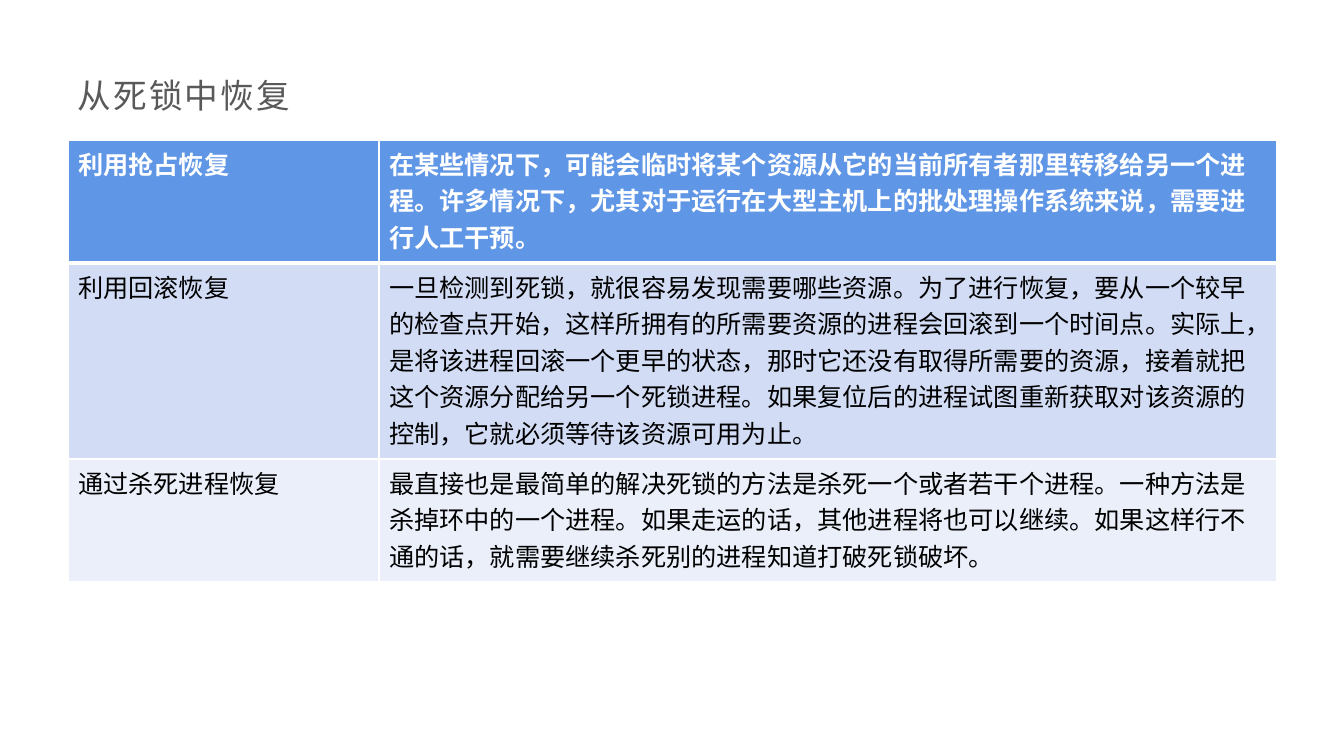
import pptx
import pptx.dml.color
import pptx.oxml
import pptx.oxml.ns
import pptx.util

PX = 914400 / 100.8
FONT = "Arial"
COLORS = {
    "title": "595959",
    "head": "6096E6",
    "head_text": "FFFFFF",
    "band_dark": "D2DDF5",
    "band_light": "EAEFFA",
    "text": "000000",
    "border": "FFFFFF",
}
TITLE = "从死锁中恢复"
METHODS = [
    ("利用抢占恢复",
     "在某些情况下，可能会临时将某个资源从它的当前所有者那里转移给另一个进程。"
     "许多情况下，尤其对于运行在大型主机上的批处理操作系统来说，需要进行人工干预。"),
    ("利用回滚恢复",
     "一旦检测到死锁，就很容易发现需要哪些资源。为了进行恢复，要从一个较早的检查点开始，"
     "这样所拥有的所需要资源的进程会回滚到一个时间点。实际上，是将该进程回滚一个更早的状态，"
     "那时它还没有取得所需要的资源，接着就把这个资源分配给另一个死锁进程。"
     "如果复位后的进程试图重新获取对该资源的控制，它就必须等待该资源可用为止。"),
    ("通过杀死进程恢复",
     "最直接也是最简单的解决死锁的方法是杀死一个或者若干个进程。"
     "一种方法是杀掉环中的一个进程。如果走运的话，其他进程将也可以继续。"
     "如果这样行不通的话，就需要继续杀死别的进程知道打破死锁破坏。"),
]


def px(n):
    """Turn a length in px into EMU."""
    return pptx.util.Emu(round(n * PX))


def rgb(name):
    """Look up a named colour."""
    return pptx.dml.color.RGBColor.from_string(COLORS[name])


def set_font(p, size, color, bold=False):
    """Set the font of a whole paragraph."""
    p.font.name = FONT
    p.font.size = pptx.util.Pt(size)
    p.font.bold = bold
    p.font.color.rgb = rgb(color)


def set_borders(cell, top, bottom):
    """Draw the four cell borders, with top and bottom widths in points."""
    tc_pr = cell._tc.get_or_add_tcPr()
    widths = {"lnL": 1, "lnR": 1, "lnT": top, "lnB": bottom}
    for i, (tag, width) in enumerate(widths.items()):
        tc_pr.insert(i, pptx.oxml.parse_xml(
            f'<a:{tag} {pptx.oxml.ns.nsdecls("a")} w="{pptx.util.Pt(width)}">'
            f'<a:solidFill><a:srgbClr val="{COLORS["border"]}"/></a:solidFill></a:{tag}>'))


def add_title(slide, x, y, w, h):
    """Place the letter-spaced title at the top of its box."""
    tf = slide.shapes.add_textbox(px(x), px(y), px(w), px(h)).text_frame
    tf.word_wrap = True
    p = tf.paragraphs[0]
    r = p.add_run()
    r.text = TITLE
    p.line_spacing = 1.3
    p.space_after = pptx.util.Pt(10)
    set_font(p, 24, "title")
    r.font._element.set("spc", "150")


def add_methods_table(slide, x, y, w, h):
    """Place the table of recovery methods, its rows sharing the height."""
    table = slide.shapes.add_table(len(METHODS), 2, px(x), px(y), px(w), px(h)).table
    name_w = 311
    table.columns[0].width = px(name_w)
    table.columns[1].width = px(w - name_w)
    outer_h = 123
    heights = [outer_h, h - 2 * outer_h, outer_h]
    fills = ["head", "band_dark", "band_light"]
    for i, (texts, height, fill) in enumerate(zip(METHODS, heights, fills)):
        table.rows[i].height = px(height)
        for cell, text in zip(table.rows[i].cells, texts):
            cell.text = text
            cell.fill.solid()
            cell.fill.fore_color.rgb = rgb(fill)
            set_borders(cell, 3 if i == 1 else 1, 3 if i == 0 else 1)
            set_font(cell.text_frame.paragraphs[0], 18,
                     "head_text" if i == 0 else "text", i == 0)


def main():
    """Build the slide and save it."""
    prs = pptx.Presentation()
    prs.slide_width, prs.slide_height = px(1344), px(756)
    slide = prs.slides.add_slide(prs.slide_layouts[6])
    add_title(slide, 68, 58, 1210, 631)
    add_methods_table(slide, 68, 140, 1209, 442)
    prs.save("out.pptx")


if __name__ == "__main__":
    main()
